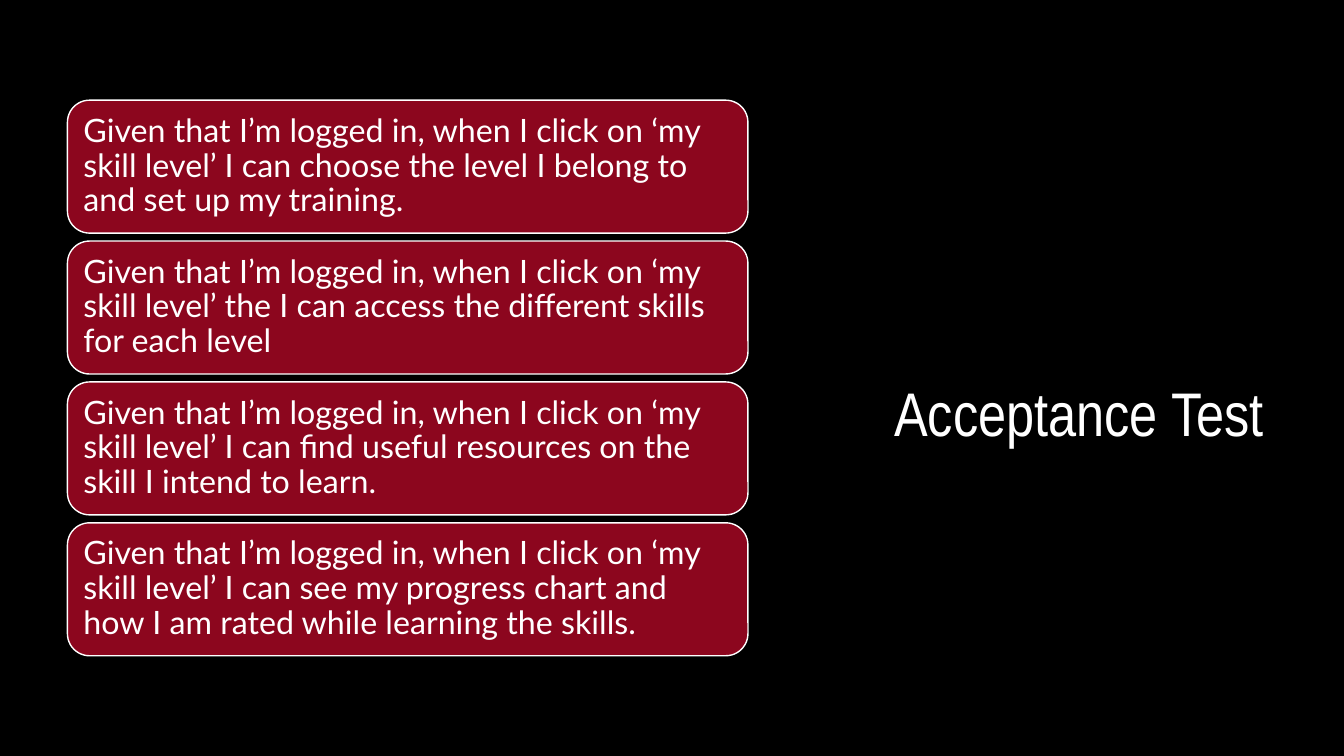
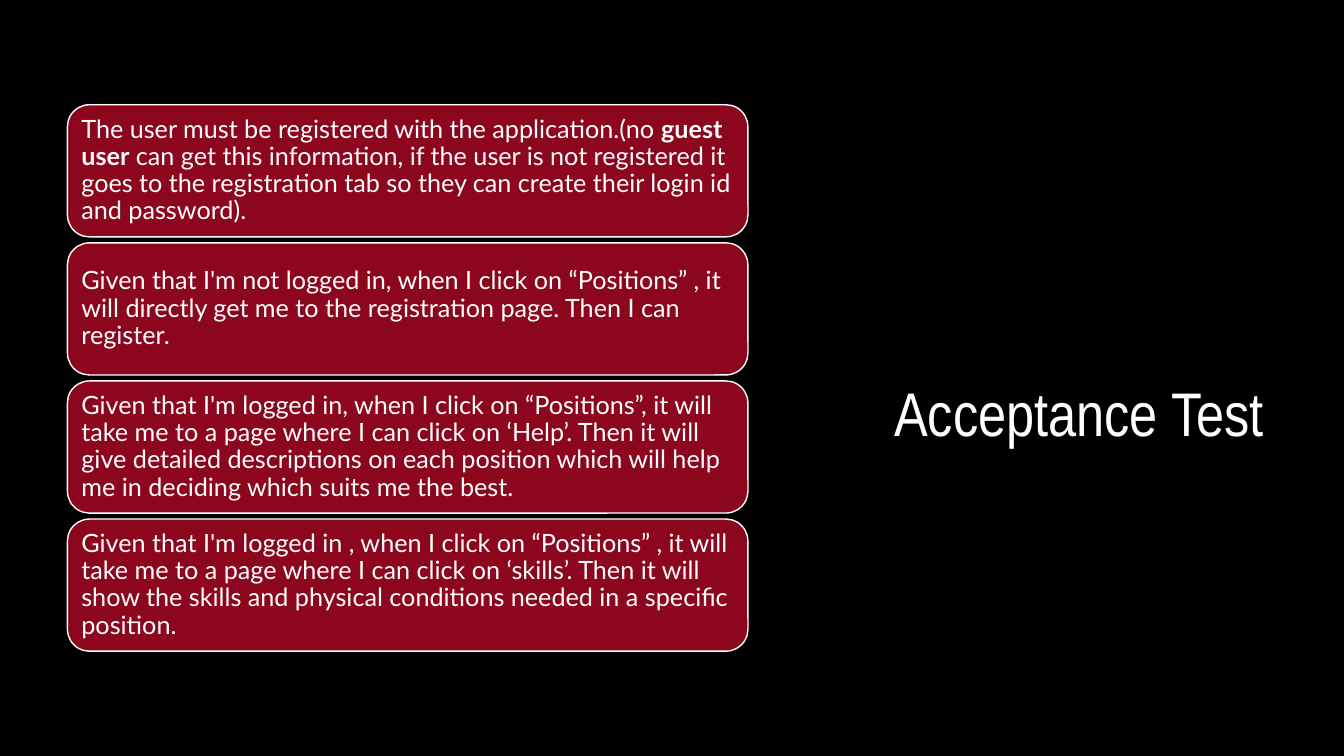
"""Build two acceptance test slides, each a stack of cards beside a title."""
import dataclasses
from typing import Any

import pptx
import pptx.dml.color
import pptx.enum.shapes
import pptx.enum.text
import pptx.shapes.autoshape
import pptx.slide
import pptx.util

Cm = pptx.util.Cm
Pt = pptx.util.Pt
Rgb = pptx.dml.color.RGBColor
Align = pptx.enum.text.PP_ALIGN
Anchor = pptx.enum.text.MSO_ANCHOR
Shape = pptx.shapes.autoshape.Shape
Slide = pptx.slide.Slide


@dataclasses.dataclass(frozen=True)
class Theme:
    back: Rgb = Rgb.from_string("000000")
    card: Rgb = Rgb.from_string("8C061E")
    ink: Rgb = Rgb.from_string("FFFFFF")
    head: str = "Arial Narrow"
    body: str = "Lato"
    title: float = 44
    large: float = 23
    small: float = 18
    edge: float = 1
    lead: float = 0.9


@dataclasses.dataclass(frozen=True)
class Stack:
    size: float
    tall: float
    gap: float
    inset: float
    cards: tuple[str, ...]


THEME = Theme()
WIDE, HIGH = 33.87, 19.05
LEFT, WIDTH = 1.7, 17.15
TITLE = "Acceptance Test"
BOLD = "**"

STACKS = (
    Stack(THEME.large, 3.35, 0.2, 0.24, (
        "Given that I’m logged in, when I click on ‘my skill level’ I can choose "
        "the level I belong to and set up my training.",
        "Given that I’m logged in, when I click on ‘my skill level’ the I can "
        "access the different skills for each level",
        "Given that I’m logged in, when I click on ‘my skill level’ I can find "
        "useful resources on the skill I intend to learn.",
        "Given that I’m logged in, when I click on ‘my skill level’ I can see my "
        "progress chart and how I am rated while learning the skills.",
    )),
    Stack(THEME.small, 3.33, 0.15, 0.19, (
        "The user must be registered with the application.(no **guest user** can "
        "get this information, if the user is not registered it goes to the "
        "registration tab so they can create their login id and password).",
        "Given that I'm not logged in, when I click on “Positions” , it will "
        "directly get me to the registration page. Then I can register.",
        "Given that I'm logged in, when I click on “Positions”, it will take me "
        "to a page where I can click on ‘Help’. Then it will give detailed "
        "descriptions on each position which will help me in deciding which "
        "suits me the best.",
        "Given that I'm logged in , when I click on “Positions” , it will take "
        "me to a page where I can click on ‘skills’. Then it will show the "
        "skills and physical conditions needed in a specific position.",
    )),
)


def apply(target: Any, style: dict[str, Any]) -> None:
    """Set each value of the style on the target."""
    for name, value in style.items():
        setattr(target, name, value)


def write(shape: Shape, text: str, face: str, size: float, align: Align,
          frame: dict[str, Any]) -> None:
    """Fill the shape with one paragraph, bold between markers."""
    apply(shape.text_frame, {"word_wrap": True, **frame})
    para = shape.text_frame.paragraphs[0]
    apply(para, {"alignment": align, "line_spacing": THEME.lead})
    for index, part in enumerate(text.split(BOLD)):
        run = para.add_run()
        run.text = part
        apply(run.font, {"name": face, "size": Pt(size), "bold": index % 2 == 1})
        run.font.color.rgb = THEME.ink


def draw_title(slide: Slide) -> None:
    """Write the shared title at the right."""
    box = slide.shapes.add_textbox(Cm(22.12), Cm(5.54), Cm(10.16), Cm(5.92))
    write(box, TITLE, THEME.head, THEME.title, Align.CENTER,
          {"vertical_anchor": Anchor.BOTTOM})


def draw_stack(slide: Slide, stack: Stack) -> None:
    """Draw the cards as a column centred on the slide height."""
    step = stack.tall + stack.gap
    top = (HIGH - step * len(stack.cards) + stack.gap) / 2
    sides = ("left", "right", "top", "bottom")
    frame = {f"margin_{side}": Cm(stack.inset) for side in sides}
    frame["vertical_anchor"] = Anchor.MIDDLE
    for index, text in enumerate(stack.cards):
        card = slide.shapes.add_shape(
            pptx.enum.shapes.MSO_SHAPE.ROUNDED_RECTANGLE,
            Cm(LEFT), Cm(top + index * step), Cm(WIDTH), Cm(stack.tall))
        card.shadow.inherit = False
        card.fill.solid()
        card.fill.fore_color.rgb = THEME.card
        card.line.color.rgb = THEME.ink
        card.line.width = Pt(THEME.edge)
        write(card, text, THEME.body, stack.size, Align.LEFT, frame)


def main() -> None:
    """Build and save the deck."""
    deck = pptx.Presentation()
    apply(deck, {"slide_width": Cm(WIDE), "slide_height": Cm(HIGH)})
    back = deck.slide_master.background.fill
    back.solid()
    back.fore_color.rgb = THEME.back
    for stack in STACKS:
        slide = deck.slides.add_slide(deck.slide_layouts[6])
        draw_title(slide)
        draw_stack(slide, stack)
    deck.save("out.pptx")


if __name__ == "__main__":
    main()
